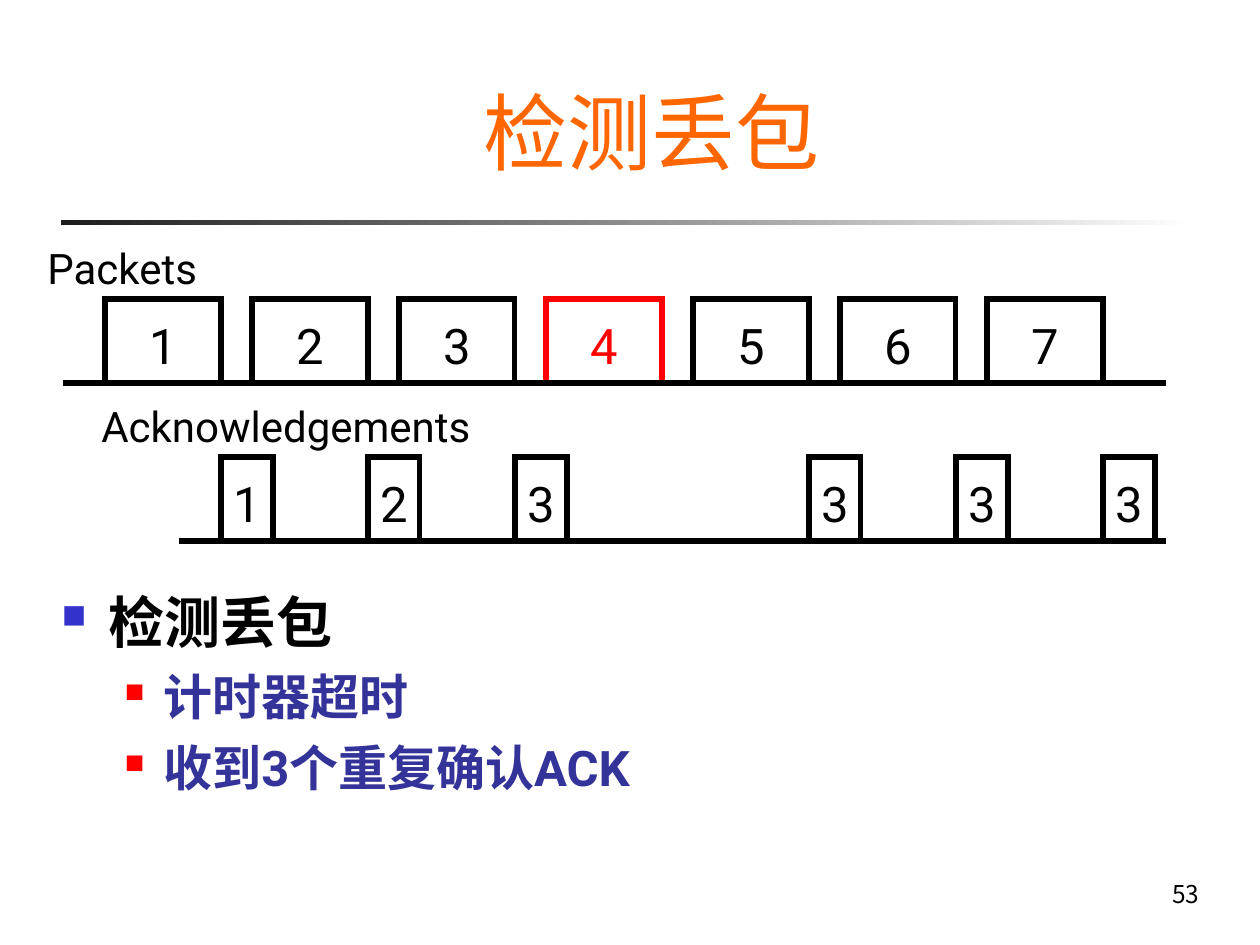
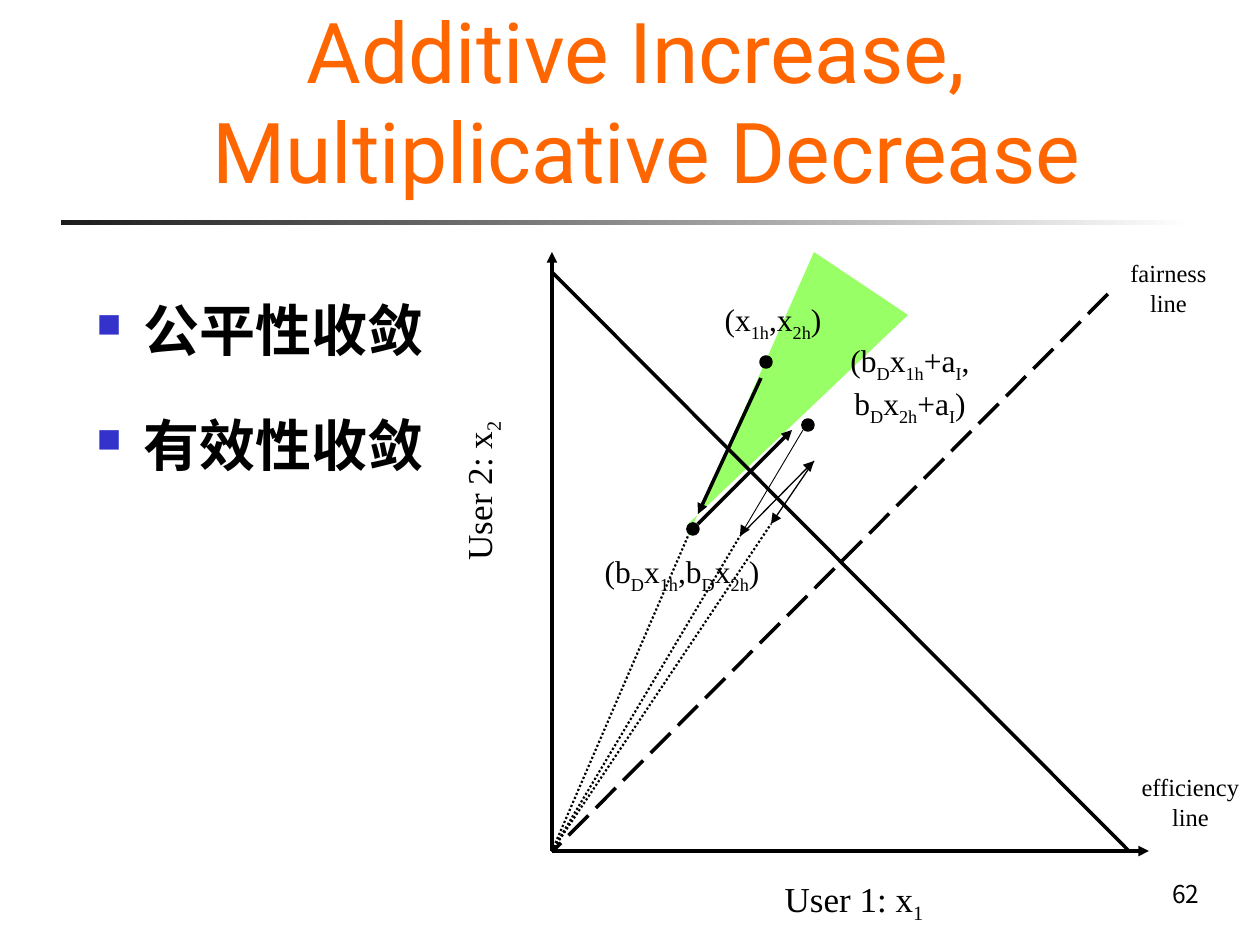
from lxml import etree
from pptx import Presentation
from pptx.dml.color import RGBColor
from pptx.enum.dml import MSO_LINE as DASH
from pptx.enum.shapes import MSO_CONNECTOR, MSO_SHAPE as SHAPE
from pptx.enum.text import MSO_ANCHOR as ANCHOR, MSO_AUTO_SIZE as FIT, PP_ALIGN as ALIGN
from pptx.oxml.ns import qn
from pptx.util import Inches, Pt

SCALE = Inches(1) / 126
BLACK = RGBColor(0x00, 0x00, 0x00)
WHITE = RGBColor(0xFF, 0xFF, 0xFF)
CHARCOAL = RGBColor(0x1C, 0x1C, 0x1C)
ORANGE = RGBColor(0xFF, 0x66, 0x00)
RED = RGBColor(0xFF, 0x00, 0x00)
BLUE = RGBColor(0x33, 0x33, 0xCC)
NAVY = RGBColor(0x33, 0x33, 0x99)
GREEN = RGBColor(0x99, 0xFF, 0x66)
SANS, SERIF, CJK = "Roboto", "Times New Roman", "Noto Sans CJK SC"


def px(*lengths):
    return [round(length * SCALE) for length in lengths]


def write(frame, text, size, color=BLACK, font=SANS, align=ALIGN.CENTER):
    for row, line in enumerate(text.split("\n")):
        paragraph = frame.add_paragraph() if row else frame.paragraphs[0]
        paragraph.alignment = align
        paragraph.font.size = Pt(size)
        paragraph.font.color.rgb = color
        paragraph.font.name = font
        defaults = paragraph._p.pPr.find(qn("a:defRPr"))
        etree.SubElement(defaults, qn("a:ea"), typeface=CJK)
        for part, piece in enumerate(line.split("~")):
            run = paragraph.add_run()
            run.text = piece
            if part % 2:
                run._r.get_or_add_rPr().set("baseline", "-25000")


deck = Presentation()
deck.slide_width, deck.slide_height = Inches(10), Inches(7.5)

pages = [
    ("检测丢包", (116, 63, 1071, 125), "53", (49, 581, 1166, 253), None,
     [("检测丢包", 0), ("计时器超时", 1), ("收到3个重复确认ACK", 1)]),
    ("Additive Increase, \nMultiplicative Decrease", (116, 42, 1061, 165), "62",
     (84, 256, 369, 573), 1.5, [("公平性收敛", 0), ("有效性收敛", 0)]),
]
levels = [
    (32, BLACK, BLUE, 60, 47, -47, 8),
    (28, NAVY, RED, 55, 102, -39, 7),
]

for heading, heading_box, number, points_box, spacing, points in pages:
    slide = deck.slides.add_slide(deck.slide_layouts[1])
    rule = slide.shapes.add_shape(SHAPE.RECTANGLE, *px(61, 220, 1134, 5))
    rule.shadow.inherit = False
    rule.line.fill.background()
    rule.fill.gradient()
    rule.fill.gradient_angle = 0
    for stop, shade in zip(rule.fill.gradient_stops, (CHARCOAL, WHITE)):
        stop.color.rgb = shade

    page_number = slide.shapes.add_textbox(*px(1139, 873, 73, 45)).text_frame
    page_number.word_wrap = True
    write(page_number, number, 14, font=CJK, align=ALIGN.RIGHT)

    title, body = slide.placeholders
    for holder, box in ((title, heading_box), (body, points_box)):
        holder.left, holder.top, holder.width, holder.height = px(*box)
        holder.text_frame.auto_size = FIT.NONE
    title.text_frame.vertical_anchor = ANCHOR.BOTTOM
    write(title.text_frame, heading, 48, ORANGE)

    write(body.text_frame, "\n".join(point for point, level in points), 32, align=ALIGN.LEFT)
    for paragraph, (point, level) in zip(body.text_frame.paragraphs, points):
        size, color, bullet_color, bullet_size, margin, indent, before = levels[level]
        paragraph.level = level
        paragraph.font.size = Pt(size)
        paragraph.font.color.rgb = color
        paragraph.font.bold = True
        properties = paragraph._p.pPr
        properties.set("marL", str(px(margin)[0]))
        properties.set("indent", str(px(indent)[0]))
        tint = etree.Element(qn("a:buClr"))
        etree.SubElement(tint, qn("a:srgbClr"), val=str(bullet_color))
        defaults = properties.find(qn("a:defRPr"))
        for part in (
            tint,
            etree.Element(qn("a:buSzPct"), val=str(bullet_size * 1000)),
            etree.Element(qn("a:buFont"), typeface="Wingdings", charset="2"),
            etree.Element(qn("a:buChar"), char="n"),
        ):
            defaults.addprevious(part)
        paragraph.space_before = Pt(before)
        if spacing:
            paragraph.line_spacing = spacing

loss_slide, aimd_slide = deck.slides

packets = [(column, str(column + 1)) for column in range(7)]
acks = [(0, "1"), (1, "2"), (2, "3"), (4, "3"), (5, "3"), (6, "3")]
for left, top, width, cells in ((105, 299, 116, packets), (221, 457, 52, acks)):
    for column, digit in cells:
        color = RED if digit == "4" else BLACK
        cell = loss_slide.shapes.add_shape(
            SHAPE.RECTANGLE, *px(left + 147 * column, top, width, 84))
        cell.shadow.inherit = False
        cell.fill.background()
        cell.line.color.rgb = color
        cell.line.width = Pt(3)
        etree.SubElement(cell.line._get_or_add_ln(), qn("a:miter"), lim="800000")
        frame = cell.text_frame
        frame.margin_left = frame.margin_right = frame.margin_bottom = 0
        frame.margin_top = px(8)[0]
        frame.vertical_anchor = ANCHOR.MIDDLE
        write(frame, digit, 28, color)

region = aimd_slide.shapes.build_freeform(688, 524, scale=SCALE)
region.add_line_segments([(908, 315), (814, 252), (688, 536)])
gain_region = region.convert_to_shape()
gain_region.shadow.inherit = False
gain_region.fill.solid()
gain_region.fill.fore_color.rgb = GREEN
gain_region.line.fill.background()

for left, top in ((803, 420), (688, 524), (761, 357)):
    state = aimd_slide.shapes.add_shape(SHAPE.OVAL, *px(left, top, 10, 10))
    state.shadow.inherit = False
    state.fill.solid()
    state.fill.fore_color.rgb = BLACK
    state.line.color.rgb = BLACK
    state.line.width = Pt(2)

lines = [
    (loss_slide, (63, 383, 1166, 383), 3, None, False),
    (loss_slide, (179, 541, 1166, 541), 3, None, False),
    (aimd_slide, (552, 851, 552, 252), 2, None, True),
    (aimd_slide, (552, 851, 1149, 851), 2, None, True),
    (aimd_slide, (1108, 294, 552, 852), 2, DASH.LONG_DASH, False),
    (aimd_slide, (552, 272, 1129, 851), 2, None, False),
    (aimd_slide, (698, 524, 792, 430), 2, None, True),
    (aimd_slide, (761, 378, 698, 514), 2, None, True),
    (aimd_slide, (814, 461, 771, 524), 0.75, None, True),
    (aimd_slide, (803, 430, 740, 536), 0.5, None, True),
    (aimd_slide, (740, 536, 814, 461), 0.75, None, True),
]
for x, y in ((688, 536), (740, 536), (771, 524)):
    lines.append((aimd_slide, (552, 851, x, y), 1.25, DASH.ROUND_DOT, False))

for slide, ends, width, dash, arrow in lines:
    connector = slide.shapes.add_connector(MSO_CONNECTOR.STRAIGHT, *px(*ends))
    connector.line.color.rgb = BLACK
    connector.line.width = Pt(width)
    if dash:
        connector.line.dash_style = dash
    if arrow:
        etree.SubElement(connector.line._get_or_add_ln(), qn("a:tailEnd"), type="triangle")
    etree.SubElement(connector._element.spPr, qn("a:effectLst"))

labels = [
    (loss_slide, (35, 236, 175, 63), "Packets", 24, SANS, ALIGN.LEFT, 0),
    (loss_slide, (89, 394, 413, 63), "Acknowledgements", 24, SANS, ALIGN.LEFT, 0),
    (aimd_slide, (838, 335, 144, 98), "(b~D~x~1h~+a~I~,\nb~D~x~2h~+a~I~)", 18, SERIF, ALIGN.CENTER, 0),
    (aimd_slide, (712, 294, 122, 55), "(x~1h~,x~2h~)", 18, SERIF, ALIGN.CENTER, 0),
    (aimd_slide, (592, 546, 180, 55), "(b~D~x~1h~,b~D~x~2h~)", 18, SERIF, ALIGN.CENTER, 0),
    (aimd_slide, (772, 871, 164, 60), "User 1: x~1~", 20, SERIF, ALIGN.CENTER, 0),
    (aimd_slide, (399, 461, 164, 60), "User 2: x~2~", 20, SERIF, ALIGN.CENTER, 270),
    (aimd_slide, (1113, 252, 111, 71), "fairness\nline", 14, SERIF, ALIGN.CENTER, 0),
    (aimd_slide, (1127, 766, 127, 71), "efficiency\nline", 14, SERIF, ALIGN.CENTER, 0),
]
for slide, box, text, size, font, align, rotation in labels:
    label = slide.shapes.add_textbox(*px(*box))
    label.rotation = rotation
    label.text_frame.word_wrap = False
    write(label.text_frame, text, size, font=font, align=align)

deck.save("out.pptx")
